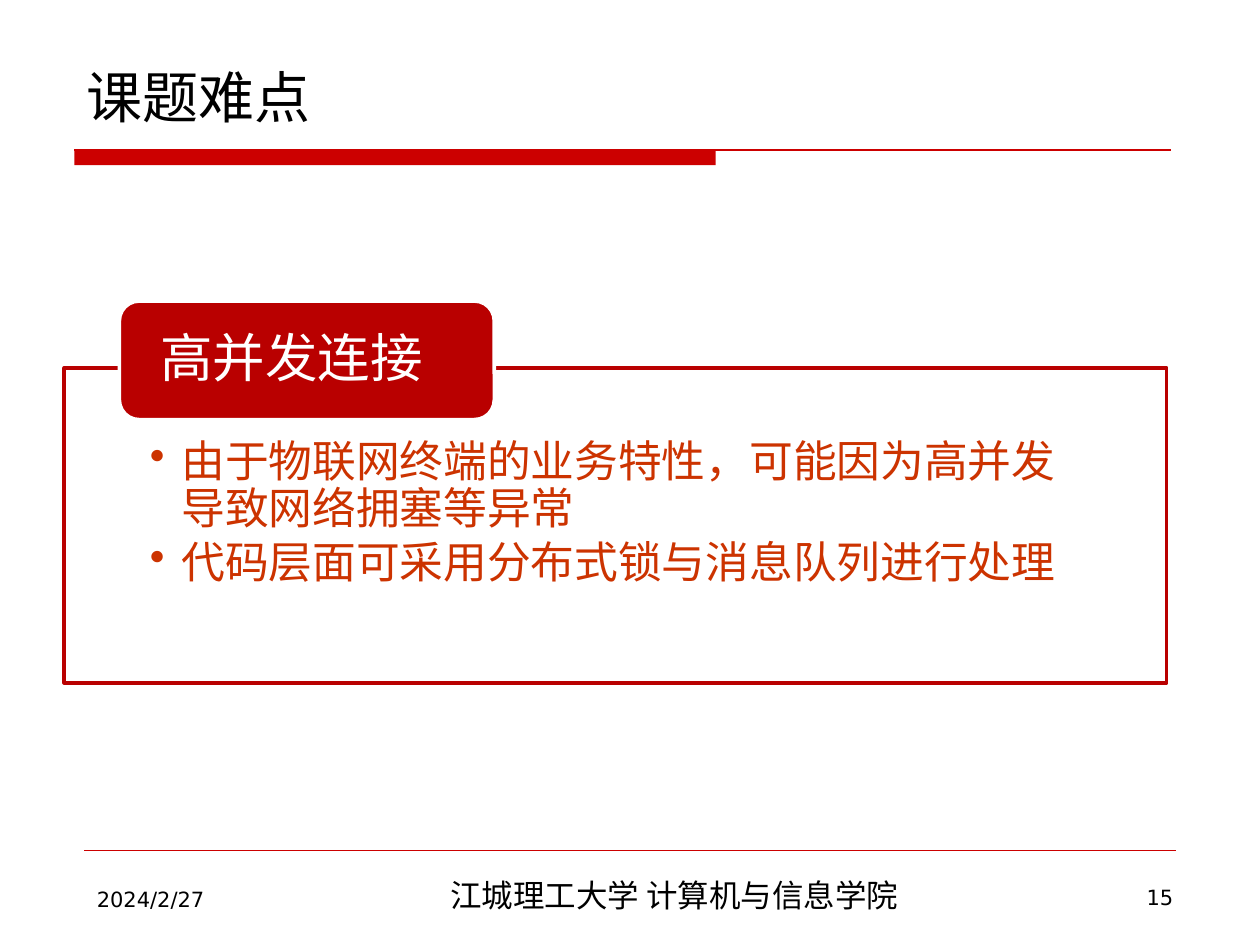
from lxml import etree
from pptx import Presentation
from pptx import util as u
from pptx.dml.color import RGBColor
from pptx.enum import shapes, text
from pptx.oxml.ns import qn

RED, DEEP_RED, RUST, WHITE, BLACK = "CC0000", "B90000", "CC3300", "FFFFFF", "000000"
SANS, CJK, SERIF = "DejaVu Sans", "Noto Sans CJK SC", "Times New Roman"
LEFT, CENTER, RIGHT = text.PP_ALIGN.LEFT, text.PP_ALIGN.CENTER, text.PP_ALIGN.RIGHT
TOP, MIDDLE, BOTTOM = text.MSO_ANCHOR.TOP, text.MSO_ANCHOR.MIDDLE, text.MSO_ANCHOR.BOTTOM


def color(hex_string):
    """Return the colour for a hex string."""
    return RGBColor.from_string(hex_string)


def inches(box):
    """Return the box's lengths in inches as slide units."""
    return [u.Inches(length) for length in box]


def write(frame, lines, size, font, hue, align=LEFT, anchor=TOP, insets=(0.1, 0.05, 0.1, 0.05)):
    """Fill a text frame with evenly formatted paragraphs and return them."""
    frame.word_wrap, frame.vertical_anchor = True, anchor
    frame.margin_left, frame.margin_top, frame.margin_right, frame.margin_bottom = inches(insets)
    frame.text = "\n".join(lines)
    for paragraph in frame.paragraphs:
        paragraph.alignment = align
        paragraph.font.size, paragraph.font.name = u.Pt(size), font
        paragraph.font.color.rgb = color(hue)
    return frame.paragraphs


def add_panel(slide, preset, box, fill, outline=None, width=2):
    """Add a flat preset shape."""
    panel = slide.shapes.add_shape(preset, *inches(box))
    panel.shadow.inherit = False
    panel.fill.solid()
    panel.fill.fore_color.rgb = color(fill)
    if outline:
        panel.line.color.rgb, panel.line.width = color(outline), u.Pt(width)
    else:
        panel.line.fill.background()
    return panel


def add_rule(slide, left, top, width, weight):
    """Add a thin horizontal red rule."""
    rule = slide.shapes.add_connector(
        shapes.MSO_CONNECTOR.STRAIGHT, *inches((left, top, left + width, top)))
    rule.line.color.rgb, rule.line.width = color(RED), u.Pt(weight)
    etree.SubElement(rule._element.spPr, qn("a:effectLst"))


def add_bullet(paragraph, indent):
    """Give a paragraph a hanging round bullet."""
    properties = paragraph._p.get_or_add_pPr()
    properties.set("marL", str(u.Inches(indent)))
    properties.set("indent", str(-u.Inches(indent)))
    bullet = etree.Element(qn("a:buChar"), char="•")
    properties.find(qn("a:defRPr")).addprevious(bullet)


def add_header(slide, box, heading):
    """Place the title with its two-weight rule below."""
    left, top, width, height = box
    rule_top, rule_width = 1.19, 8.7
    add_panel(slide, shapes.MSO_SHAPE.RECTANGLE, (left, rule_top, 5.09, 0.12), RED)
    add_rule(slide, left, rule_top, rule_width, 0.75)
    title = slide.shapes.title
    title.left, title.top, title.width, title.height = inches(box)
    write(title.text_frame, [heading], 32, SANS, BLACK, anchor=BOTTOM)


def add_topic(slide, box, heading, points):
    """Place an outlined box of points with a heading tab on its top edge."""
    left, top, width, height = box
    body = add_panel(slide, shapes.MSO_SHAPE.RECTANGLE, box, WHITE, DEEP_RED)
    shade = body._element.spPr.find(qn("a:solidFill"))[0]
    etree.SubElement(shade, qn("a:alpha"), val="90000")
    for point in write(body.text_frame, points, 25, SERIF, RUST, insets=(0.68, 0.57, 0.68, 0.19)):
        point.line_spacing, point.space_after = 0.9, u.Pt(3.75)
        add_bullet(point, 0.25)
    tab = add_panel(slide, shapes.MSO_SHAPE.ROUNDED_RECTANGLE,
                    (left + width * 0.05, top - 0.53, width * 0.34, 0.94), DEEP_RED, WHITE)
    label, = write(tab.text_frame, [heading], 30, SERIF, WHITE, anchor=MIDDLE,
                   insets=(0.28, 0, 0.28, 0))
    label.line_spacing = 0.9


def add_footer(slide, box, date, school, number):
    """Place the footer rule, date, school and page number."""
    left, top, width, height = box
    add_rule(slide, left, top, width, 0.25)
    entries = [
        (school, (2.32, top + 0.15, 6.06, 0.4), 18, CJK, CENTER),
        (number, (7.91, top + 0.22, 1.5, 0.29), 12, SANS, RIGHT),
        (date, (left, top + 0.24, 1.5, 0.29), 12, SANS, LEFT),
    ]
    for words, place, size, font, align in entries:
        entry = slide.shapes.add_textbox(*inches(place))
        write(entry.text_frame, [words], size, font, BLACK, align)


def main():
    """Build and save the slide."""
    deck = Presentation()
    deck.slide_width, deck.slide_height = inches((10, 7.5))
    slide = deck.slides.add_slide(deck.slide_layouts[5])
    add_header(slide, (0.59, 0.26, 8.75, 0.82), "课题难点")
    add_topic(slide, (0.51, 2.92, 8.75, 2.5), "高并发连接", [
        "由于物联网终端的业务特性，可能因为高并发导致网络拥塞等异常",
        "代码层面可采用分布式锁与消息队列进行处理",
    ])
    add_footer(slide, (0.67, 6.75, 8.66, 0.55), "2024/2/27", "江城理工大学 计算机与信息学院", "15")
    deck.save("out.pptx")


if __name__ == "__main__":
    main()
